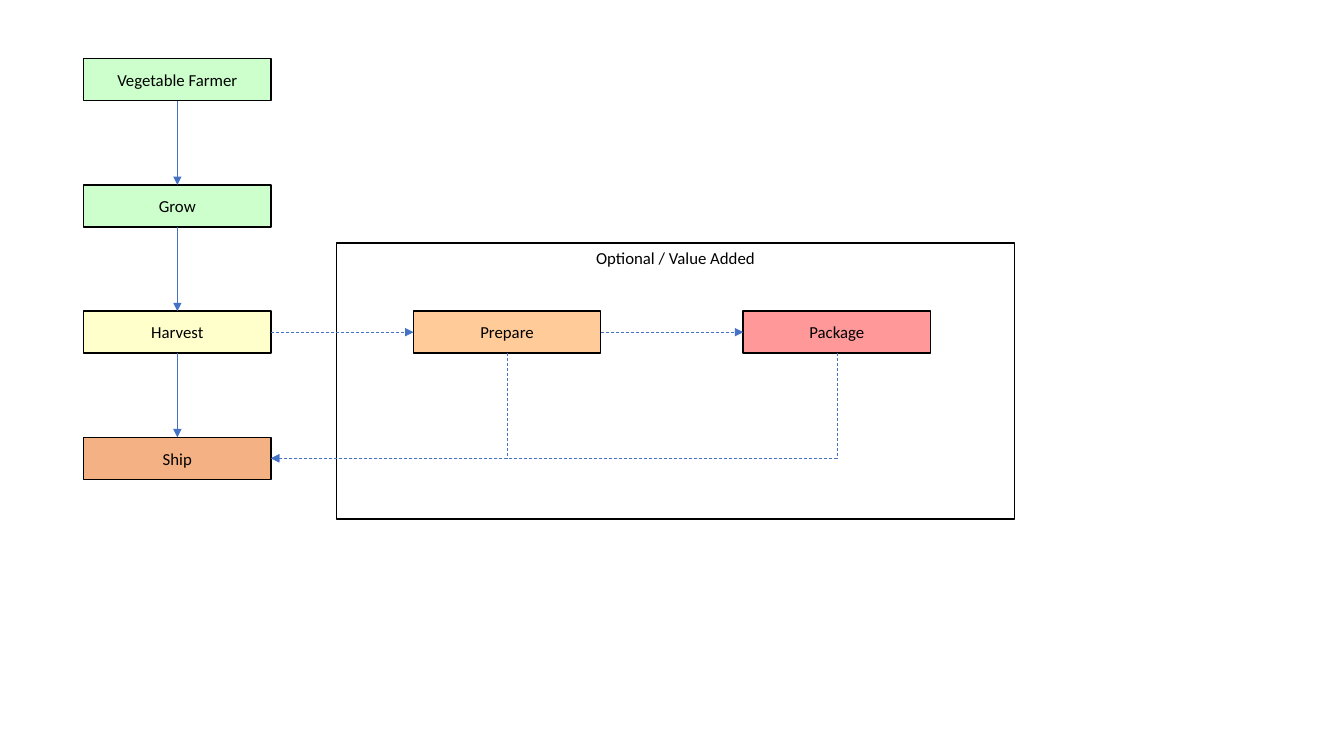
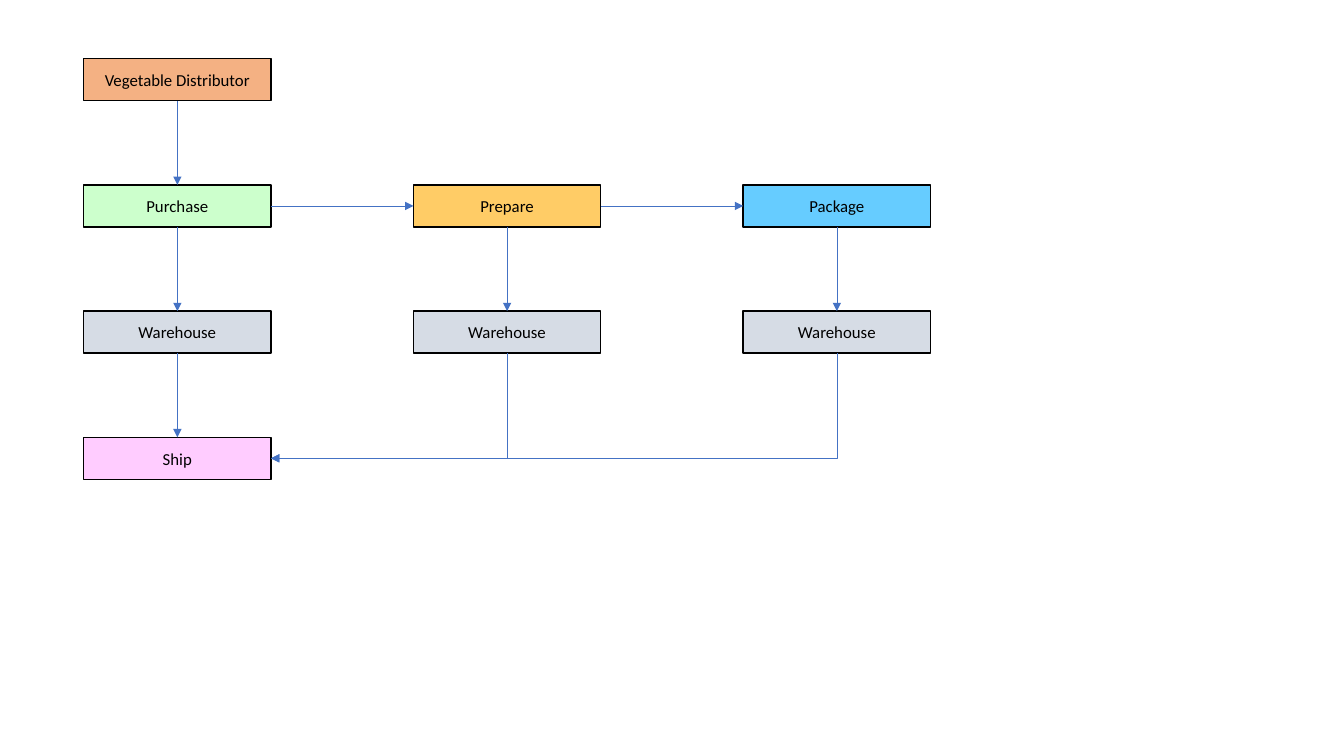
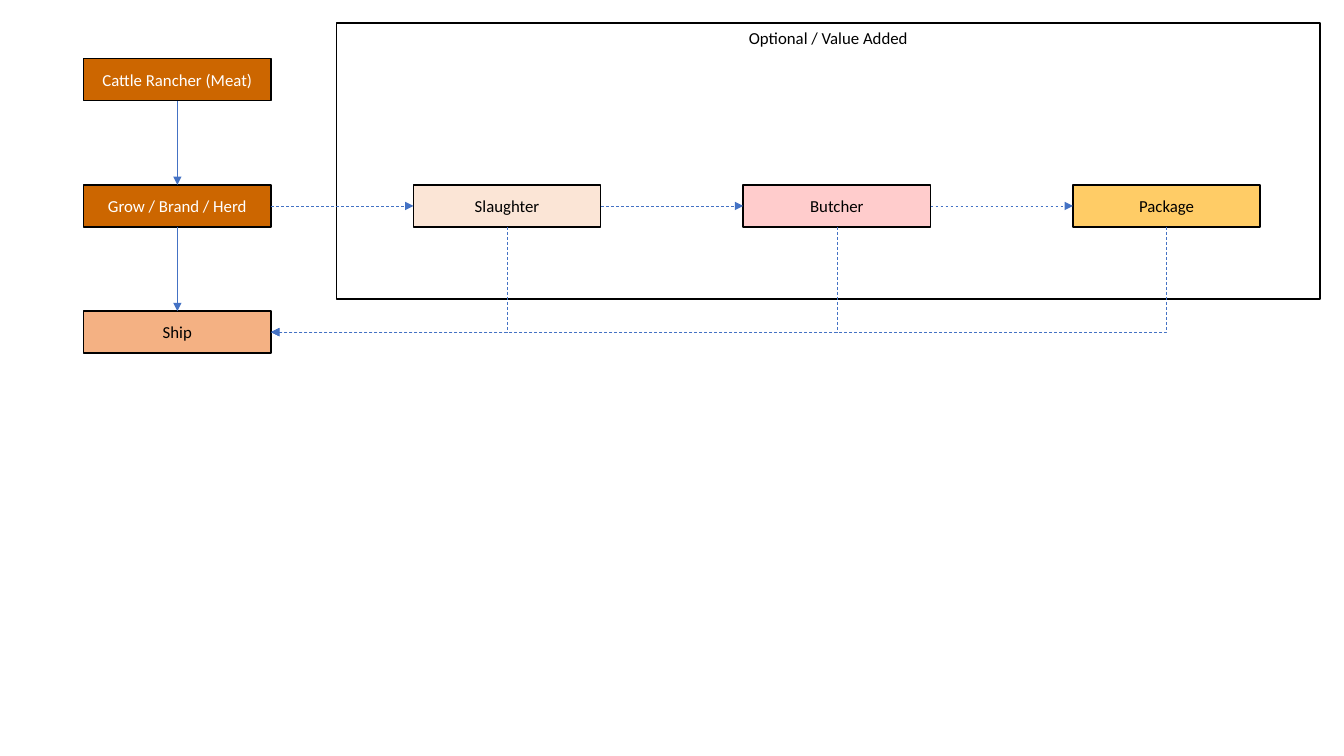
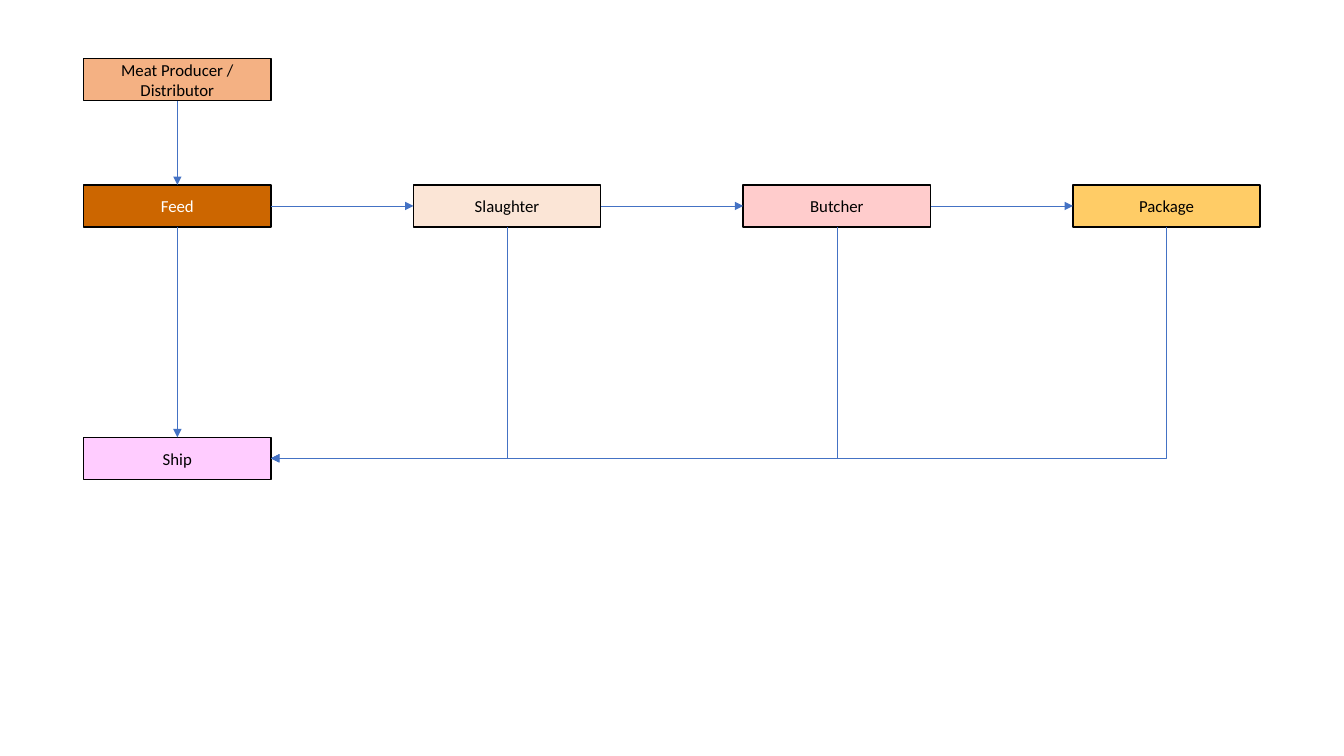
from itertools import pairwise

from lxml.etree import SubElement
from pptx import Presentation
from pptx.dml.color import RGBColor
from pptx.enum.dml import MSO_LINE_DASH_STYLE as Dash
from pptx.enum.shapes import MSO_CONNECTOR as Link, MSO_SHAPE as Shape
from pptx.enum.text import MSO_ANCHOR as Anchor, PP_ALIGN as Align
from pptx.oxml.ns import qn
from pptx.util import Cm, Pt

COLOURS = {
    "black": "000000", "white": "FFFFFF", "arrow": "4472C4",
    "green": "CCFFCC", "yellow": "FFFFCC", "peach": "FFCC99",
    "red": "FF9999", "orange": "F4B183", "gold": "FFCC66",
    "blue": "66CCFF", "grey": "D6DCE5", "lilac": "FFCCFF",
    "brown": "CC6600", "cream": "FBE5D6", "pink": "FFCCCC",
}
FONT = "Calibri"
OPTIONAL_LABEL = "Optional / Value Added"

# Content: each column lists (row, step, fill); the first column ends in Ship.
# The steps in flow_row run across; an optional frame is (top, width) in cm.
FLOWS = [
    {"flow_row": 2, "optional": (6.12, 17.09), "columns": [
        [(0, "Vegetable Farmer", "green"), (1, "Grow", "green"),
         (2, "Harvest", "yellow"), (3, "Ship", "orange")],
        [(2, "Prepare", "peach")],
        [(2, "Package", "red")],
    ]},
    {"flow_row": 1, "optional": None, "columns": [
        [(0, "Vegetable Distributor", "orange"), (1, "Purchase", "green"),
         (2, "Warehouse", "grey"), (3, "Ship", "lilac")],
        [(1, "Prepare", "gold"), (2, "Warehouse", "grey")],
        [(1, "Package", "blue"), (2, "Warehouse", "grey")],
    ]},
    {"flow_row": 1, "optional": (0.58, 24.79), "columns": [
        [(0, "Cattle Rancher (Meat)", "brown"),
         (1, "Grow / Brand / Herd", "brown"), (2, "Ship", "orange")],
        [(1, "Slaughter", "cream")],
        [(1, "Butcher", "pink")],
        [(1, "Package", "gold")],
    ]},
    {"flow_row": 1, "optional": None, "columns": [
        [(0, "Meat Producer / Distributor", "orange"), (1, "Feed", "brown"),
         (3, "Ship", "lilac")],
        [(1, "Slaughter", "cream")],
        [(1, "Butcher", "pink")],
        [(1, "Package", "gold")],
    ]},
]

# Grid of steps
GRID_LEFT, GRID_TOP = 2.11, 1.48
COLUMN_PITCH, ROW_PITCH = 8.31, 3.18
STEP_WIDTH, STEP_HEIGHT = 4.72, 1.06
FRAME_LEFT, FRAME_HEIGHT = 8.48, 6.96
TOP, LEFT, BOTTOM, RIGHT = range(4)


def colour(name):
    return RGBColor.from_string(COLOURS[name])


def add_box(slide, text, fill, left, top, width, height, anchor=Anchor.MIDDLE):
    box = slide.shapes.add_shape(
        Shape.RECTANGLE, Cm(left), Cm(top), Cm(width), Cm(height))
    box.shadow.inherit = False
    box.fill.solid()
    box.fill.fore_color.rgb = colour(fill)
    box.line.color.rgb = colour("black")
    box.line.width = Pt(1)
    frame = box.text_frame
    frame.text = text
    frame.word_wrap = True
    frame.vertical_anchor = anchor
    paragraph = frame.paragraphs[0]
    paragraph.alignment = Align.CENTER
    font = paragraph.runs[0].font
    font.name, font.size = FONT, Pt(12)
    font.color.rgb = colour("white" if fill == "brown" else "black")
    return box


def add_step(slide, column, row, text, fill):
    return add_box(slide, text, fill, GRID_LEFT + column * COLUMN_PITCH,
                   GRID_TOP + row * ROW_PITCH, STEP_WIDTH, STEP_HEIGHT)


def add_arrow(slide, start, start_side, end, end_side, dashed=False, kind=Link.STRAIGHT):
    arrow = slide.shapes.add_connector(kind, 0, 0, 0, 0)
    arrow.begin_connect(start, start_side)
    arrow.end_connect(end, end_side)
    arrow.line.color.rgb = colour("arrow")
    arrow.line.width = Pt(0.5)
    if dashed:
        arrow.line.dash_style = Dash.DASH
    properties = arrow._element.spPr
    SubElement(properties.find(qn("a:ln")), qn("a:tailEnd"), type="triangle")
    SubElement(properties, qn("a:effectLst"))
    return arrow


def add_return(slide, start, ship, dashed):
    """Run down from a step, then left into Ship."""
    arrow = add_arrow(slide, start, BOTTOM, ship, RIGHT, dashed, Link.ELBOW)
    right, bottom = start.left + start.width // 2, ship.top + ship.height // 2
    left, top = ship.left + ship.width, start.top + start.height
    across, down = right - left, bottom - top
    # A one-corner elbow turned a quarter keeps its centre and swaps its sides
    properties = arrow._element.spPr
    properties.find(qn("a:prstGeom")).set("prst", "bentConnector2")
    turn = properties.find(qn("a:xfrm"))
    for flip in ("flipH", "flipV"):
        turn.attrib.pop(flip, None)
    turn.set("rot", "5400000")
    arrow.left, arrow.top = (left + right - down) // 2, (top + bottom - across) // 2
    arrow.width, arrow.height = down, across


def build_flow(slide, flow):
    optional = flow["optional"]
    dashed = optional is not None
    if optional:
        top, width = optional
        add_box(slide, OPTIONAL_LABEL, "white", FRAME_LEFT, top, width,
                FRAME_HEIGHT, Anchor.TOP)

    columns = [
        {row: add_step(slide, number, row, text, fill) for row, text, fill in steps}
        for number, steps in enumerate(flow["columns"])
    ]

    # Down each column, then across the flow row, then back to Ship
    for steps in columns:
        for upper, lower in pairwise(steps.values()):
            add_arrow(slide, upper, BOTTOM, lower, TOP)
    for before, after in pairwise(steps[flow["flow_row"]] for steps in columns):
        add_arrow(slide, before, RIGHT, after, LEFT, dashed)
    ship, *last_steps = [steps[max(steps)] for steps in columns]
    for last in last_steps:
        add_return(slide, last, ship, dashed)


def main():
    deck = Presentation()
    deck.slide_width, deck.slide_height = Cm(33.87), Cm(19.05)
    blank = deck.slide_layouts[6]
    for flow in FLOWS:
        build_flow(deck.slides.add_slide(blank), flow)
    deck.save("out.pptx")


if __name__ == "__main__":
    main()
